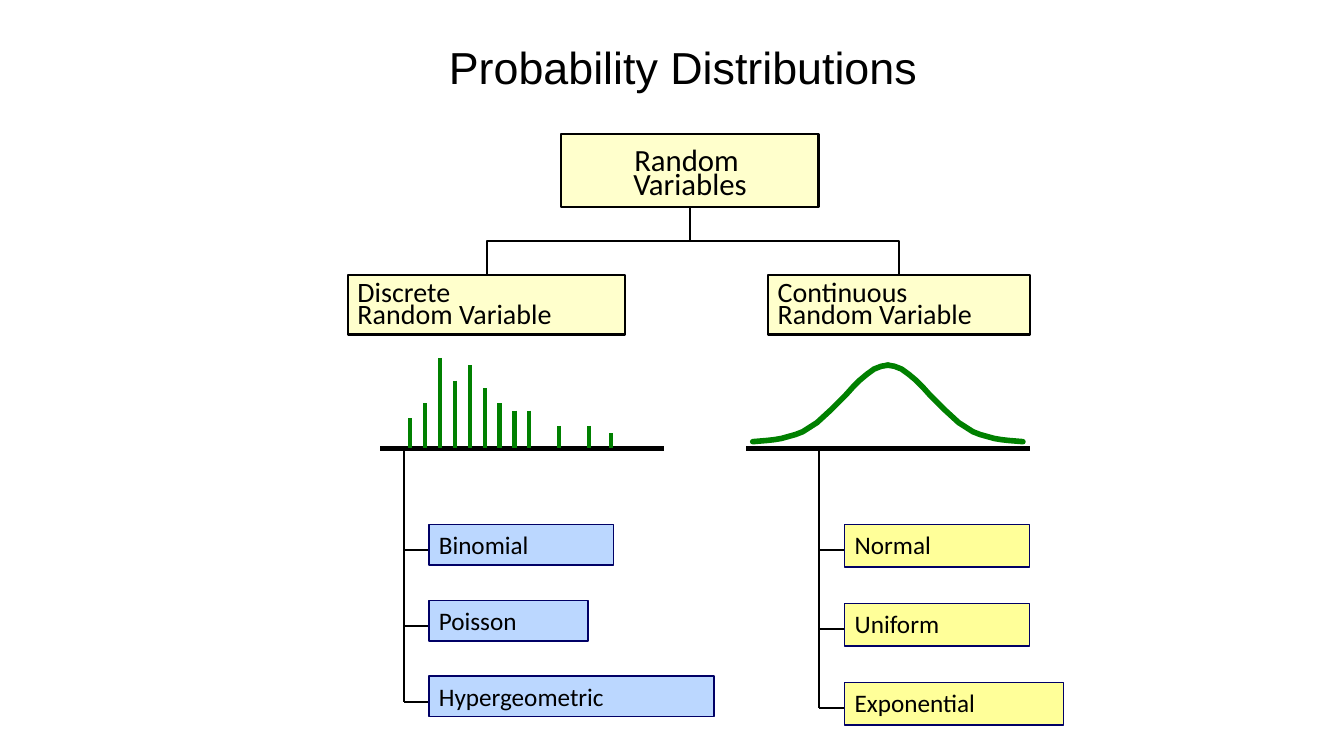
"""Build the slide that sorts probability distributions into two families."""
from pptx import Presentation, util as u
from pptx.dml.color import RGBColor
from pptx.enum import shapes, text
from pptx.oxml import parse_xml
from pptx.oxml.ns import nsdecls

BLACK = RGBColor(0x00, 0x00, 0x00)
GREEN = RGBColor(0x00, 0x80, 0x00)
NAVY = RGBColor(0x00, 0x00, 0x66)
CREAM = RGBColor(0xFF, 0xFF, 0xCC)
BLUE = RGBColor(0xBB, 0xD7, 0xFF)
YELLOW = RGBColor(0xFF, 0xFF, 0x99)

deck = Presentation()
deck.slide_width, deck.slide_height = u.Cm(33.87), u.Cm(19.05)
page = deck.slides.add_slide(deck.slide_layouts[5])


def add_line(x1, y1, x2, y2, width=1.5, color=BLACK, kind=shapes.MSO_CONNECTOR.STRAIGHT):
    line = page.shapes.add_connector(kind, u.Cm(x1), u.Cm(y1), u.Cm(x2), u.Cm(y2))
    line.line.width = u.Pt(width)
    line.line.color.rgb = color
    line._element.spPr.append(parse_xml(f"<a:effectLst {nsdecls('a')}/>"))
    return line


def add_box(place, lines, fill, size, align=text.PP_ALIGN.LEFT, spacings=(1, 1),
            anchor=text.MSO_ANCHOR.MIDDLE, border=BLACK, width=1.5):
    box = page.shapes.add_shape(shapes.MSO_SHAPE.RECTANGLE, *map(u.Cm, place))
    box.shadow.inherit = False
    box.fill.solid()
    box.fill.fore_color.rgb = fill
    box.line.color.rgb = border
    box.line.width = u.Pt(width)
    frame = box.text_frame
    frame.word_wrap = True
    frame.vertical_anchor = anchor
    frame.text = "\n".join(lines)
    for para, spacing in zip(frame.paragraphs, spacings):
        para.alignment = align
        para.line_spacing = spacing
        for name, value in {"name": "Calibri", "size": u.Pt(size)}.items():
            setattr(para.font, name, value)
        para.font.color.rgb = BLACK


title = page.shapes.title
title_place = {"left": 6.58, "top": 1.24, "width": 21.59, "height": 0.89}
for name, value in title_place.items():
    setattr(title, name, u.Cm(value))
title.text_frame.text = "Probability Distributions "
title.text_frame.auto_size = text.MSO_AUTO_SIZE.NONE
title.text_frame.vertical_anchor = text.MSO_ANCHOR.MIDDLE
heading = title.text_frame.paragraphs[0]
heading.alignment = text.PP_ALIGN.CENTER
for name, value in {"name": "Arial", "size": u.Pt(32)}.items():
    setattr(heading.font, name, value)
heading.font.color.rgb = BLACK

add_box((14.15, 3.38, 6.48, 1.83), ("Random ", "Variables"), CREAM, 22,
        text.PP_ALIGN.CENTER, (1, 0.6))
for left, width, family in ((8.76, 6.99, "Discrete "), (19.35, 6.6, "Continuous")):
    add_box((left, 6.93, width, 1.5), (family, "Random Variable"), CREAM, 20,
            spacings=(0.8, 0.6))

root_x, root_y, family_y = 17.38, 5.2, 6.93
drop = family_y - root_y
for family_x, turn in ((12.27, 90), (22.65, 270)):
    middle_x, middle_y = (root_x + family_x) / 2, (root_y + family_y) / 2
    half = abs(root_x - family_x) / 2
    reach = drop / 2 if turn == 90 else -drop / 2
    elbow = add_line(middle_x - reach, middle_y - half, middle_x + reach, middle_y + half,
                     kind=shapes.MSO_CONNECTOR.ELBOW)
    elbow._element.spPr.xfrm.set("rot", str(turn * 60000))

axis_y = 11.3
for axis_x in (9.58, 18.8):
    add_line(axis_x, axis_y, axis_x + 7.16, axis_y, 3)

bar_heights = {0: 4, 1: 6, 2: 12, 3: 9, 4: 11, 5: 8, 6: 6, 7: 5, 8: 5, 10: 3, 12: 3, 13.5: 2}
for step, height in bar_heights.items():
    bar_x = 10.34 + 0.375 * step
    add_line(bar_x, axis_y - 0.19 * height, bar_x, axis_y, 3, GREEN)

curve_rises = {0: 0, 2: 0.03, 3: 0.05, 4: 0.08, 5: 0.13, 6: 0.18, 7: 0.25, 9: 0.48,
               11: 0.81, 13: 1.17, 14: 1.37, 15: 1.55, 16: 1.7, 17: 1.83, 18: 1.9, 19: 1.93}
for tail_x, direction in ((25.78, -1), (18.97, 1)):
    points = [(u.Cm(tail_x + direction * 0.18 * step), u.Cm(11.13 - rise))
              for step, rise in curve_rises.items()]
    builder = page.shapes.build_freeform(*points[0])
    builder.add_line_segments(points[1:], close=False)
    curve = builder.convert_to_shape()
    curve.shadow.inherit = False
    curve.fill.background()
    curve.line.color.rgb = GREEN
    curve.line.width = u.Pt(4)
    curve.line._get_or_add_ln().set("cap", "rnd")

branch_y = 13.87
trees = (
    (10.17, 1.91, 1.02, BLUE, {"Binomial": 4.65, "Poisson": 4.01, "Hypergeometric": 7.19}),
    (20.65, 1.99, 1.07, YELLOW, {"Normal": 4.65, "Uniform": 4.65, "Exponential": 5.51}),
)
for stem_x, pitch, height, fill, distributions in trees:
    add_line(stem_x, axis_y, stem_x, branch_y + 2 * pitch)
    for row, (name, width) in enumerate(distributions.items()):
        y = branch_y + row * pitch
        add_line(stem_x + 0.85, y, stem_x, y)
        add_box((stem_x + 0.64, y - 0.65, width, height), (name,), fill, 18,
                anchor=text.MSO_ANCHOR.TOP, border=NAVY, width=1)

deck.save("out.pptx")
